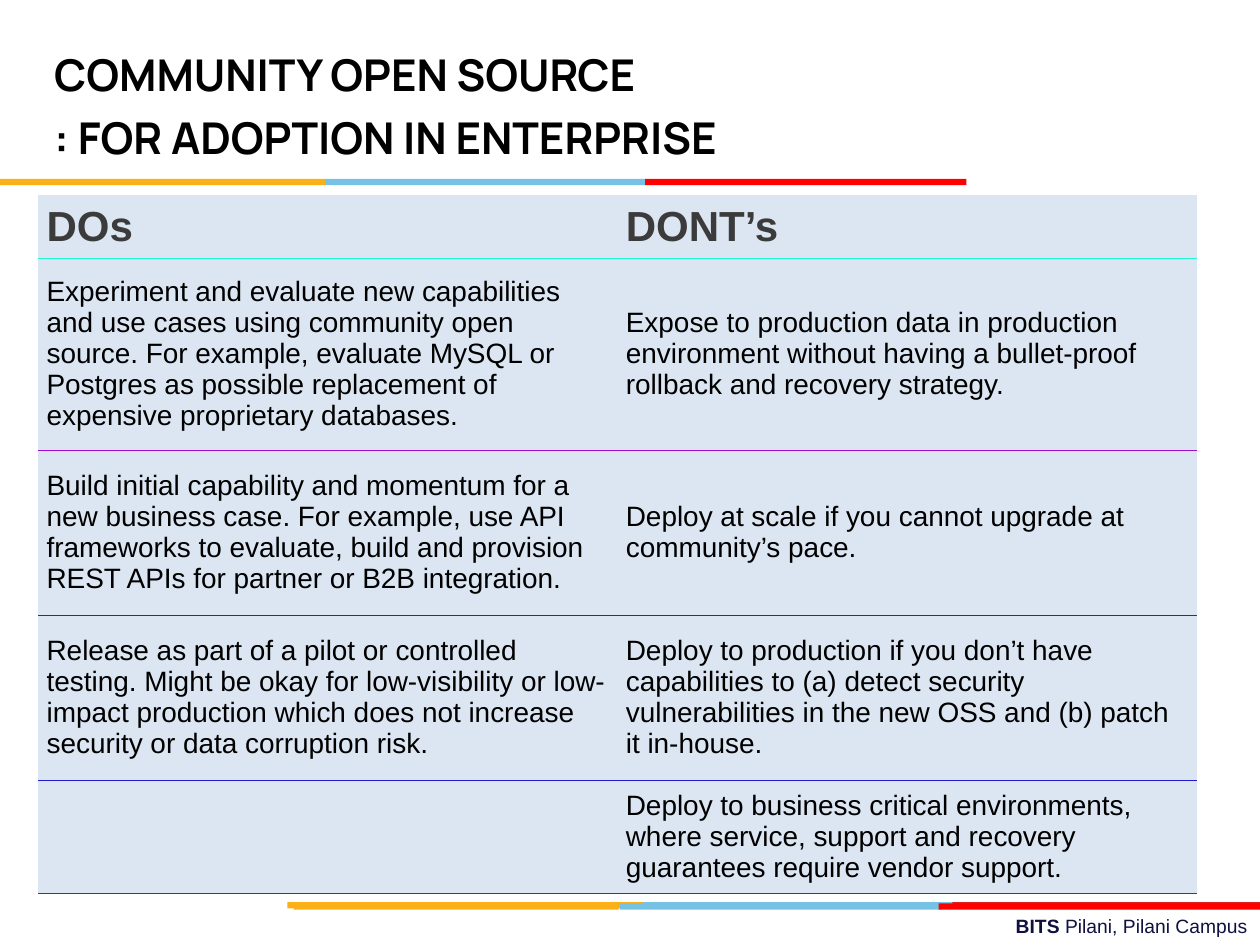
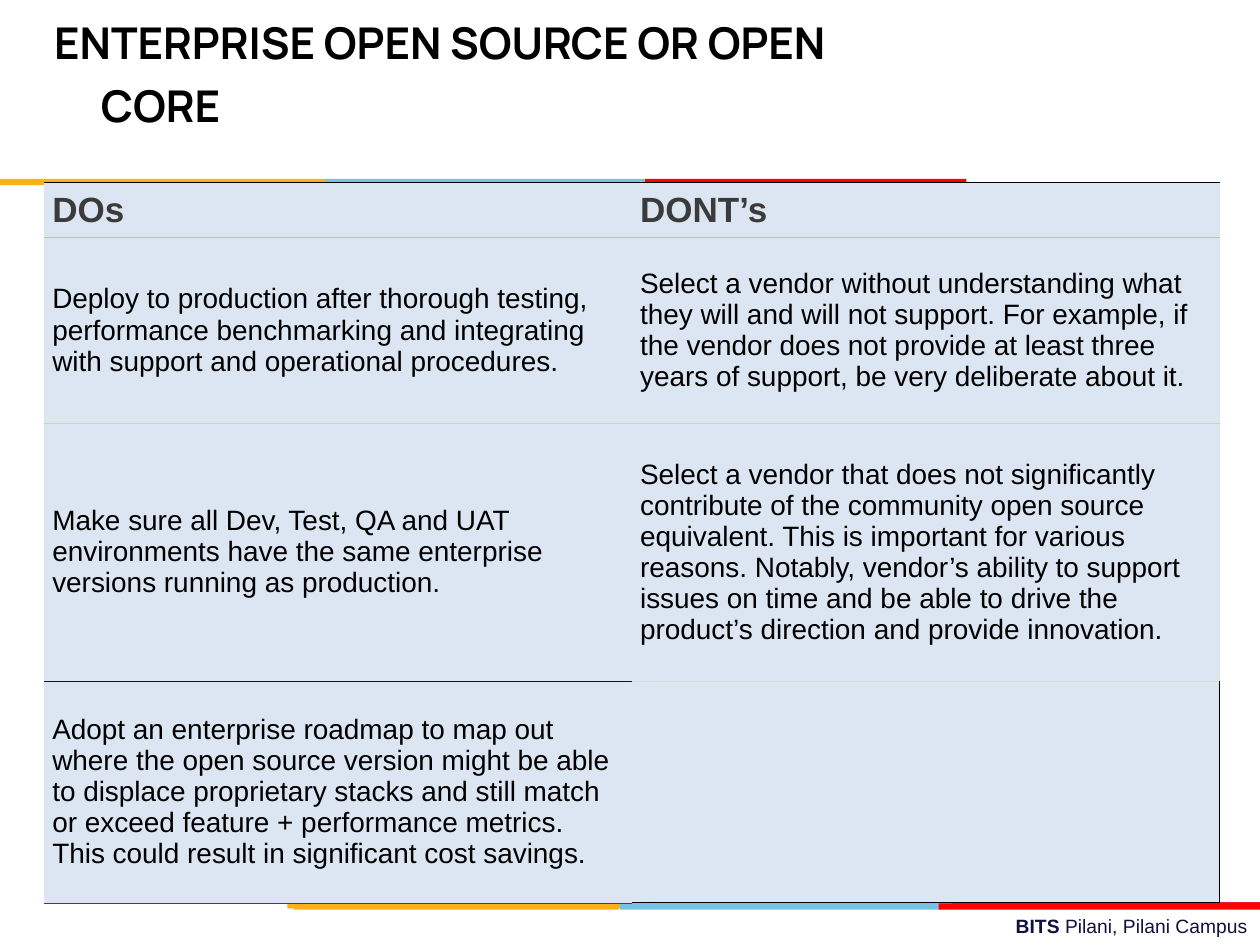
import lxml.etree
import pptx
import pptx.dml.color
import pptx.enum.shapes
import pptx.enum.text
import pptx.oxml.ns
import pptx.util

COLORS = {
    "black": "000000", "heading": "3C3B3B", "navy": "101141", "cell": "DCE6F2",
    "amber": "FCB017", "sky": "76C2E5", "red": "FF0000", "crimson": "E31C24",
    "aqua": "20F7D2", "purple": "A00CD3", "violet": "6004D3", "blue": "201BD3",
    "indigo": "6018D3", "lime": "90E37D", "green": "90FF7C", "ink": "10047D",
    "yellow": "D0F37C", "forest": "900F7D",
}
FORMATS = {
    "title": {"name": "Manrope", "size": 25, "bold": True, "color": "black"},
    "cell": {"name": "Arial", "size": 16, "bold": False, "color": "black"},
    "heading": {"name": "Arial", "size": 24, "bold": True, "color": "heading"},
    "footer": {"name": "Arial", "size": 11, "bold": False, "color": "navy"},
}
BANDS = [
    (71.6, [("sky", 50.6, 25.5), ("crimson", 75.6, 24.4), ("amber", 22.8, 28.2)]),
    (71.7, [("sky", 49.2, 25.5), ("amber", 23.3, 25.8), ("red", 74.5, 25.5)]),
    (14.2, [("sky", 25.8, 25.5), ("amber", 0, 25.8), ("red", 51.2, 25.5)]),
]
ANCHOR = pptx.enum.text.MSO_ANCHOR
ALIGN = pptx.enum.text.PP_ALIGN


class Deck:
    """Draw styled elements on a grid of 100 columns by 75 rows."""

    def __init__(self):
        self.prs = pptx.Presentation()
        self.prs.slide_width = pptx.util.Inches(10)
        self.prs.slide_height = pptx.util.Inches(7.5)
        self.s = None

    def x(self, columns):
        return round(self.prs.slide_width * columns / 100)

    def y(self, rows):
        return round(self.prs.slide_height * rows / 75)

    def box(self, left, top, width, height):
        return self.x(left), self.y(top), self.x(width), self.y(height)

    def rgb(self, color):
        return pptx.dml.color.RGBColor.from_string(COLORS[color])

    def apply(self, obj, values):
        for key, value in values.items():
            setattr(obj, key, value)

    def run(self, p, text, kind, **changes):
        values = {**FORMATS[kind], **changes}
        r = p.add_run()
        r.text = text
        r.font.color.rgb = self.rgb(values.pop("color"))
        values["size"] = pptx.util.Pt(values["size"])
        self.apply(r.font, values)

    def slide(self):
        self.s = self.prs.slides.add_slide(self.prs.slide_layouts[5])
        for top, bars in BANDS:
            for color, left, width in bars:
                self.bar(color, left, top, width)
        self.footer()

    def bar(self, color, left, top, width):
        sp = self.s.shapes.add_shape(
            pptx.enum.shapes.MSO_SHAPE.RECTANGLE, *self.box(left, top, width, 0.5))
        sp.shadow.inherit = False
        sp.fill.solid()
        sp.fill.fore_color.rgb = self.rgb(color)
        sp.line.fill.background()

    def footer(self):
        tf = self.s.shapes.add_textbox(*self.box(35.8, 72.1, 64.2, 2.9)).text_frame
        tf.word_wrap = True
        p = tf.paragraphs[0]
        p.alignment = ALIGN.RIGHT
        self.run(p, "BITS ", "footer", bold=True)
        self.run(p, "Pilani, Pilani Campus", "footer")

    def title(self, lines, width, bottom=0.5):
        sp = self.s.shapes.title
        self.apply(sp, dict(zip(("left", "top", "width", "height"),
                                self.box(3.3, 1.7, width, 12.5))))
        tf = sp.text_frame
        self.apply(tf, {"word_wrap": True, "vertical_anchor": ANCHOR.MIDDLE,
                        "auto_size": pptx.enum.text.MSO_AUTO_SIZE.NONE,
                        "margin_left": self.x(1), "margin_right": self.x(1),
                        "margin_top": self.y(0.5), "margin_bottom": self.y(bottom)})
        for i, line in enumerate(lines):
            p = tf.add_paragraph() if i else tf.paragraphs[0]
            self.apply(p, {"alignment": ALIGN.LEFT, "line_spacing": pptx.util.Pt(36),
                           "space_before": pptx.util.Pt(0)})
            pPr = p._p.get_or_add_pPr()
            pPr.set("marL", str(self.x(3.7)))
            pPr.set("indent", str(-self.x(3.7)))
            self.run(p, line, "title")

    def border(self, cell, side, color):
        qn = pptx.oxml.ns.qn
        width = pptx.util.Pt(0.45 if color == "black" else 0.23)
        ln = lxml.etree.SubElement(
            cell._tc.get_or_add_tcPr(), qn(f"a:ln{side}"), w=str(width))
        if color:
            fill = lxml.etree.SubElement(ln, qn("a:solidFill"))
            lxml.etree.SubElement(fill, qn("a:srgbClr"), val=COLORS[color])
        else:
            lxml.etree.SubElement(ln, qn("a:noFill"))

    def table(self, place, heights, rows, rules, heading, inset, edge=None):
        frame = self.s.shapes.add_table(
            len(rows), 2, *self.box(*place, sum(heights)))
        table = frame.table
        self.apply(table, {"first_row": False, "horz_banding": False})
        for i, texts in enumerate(rows):
            table.rows[i].height = self.y(heights[i])
            for j, text in enumerate(texts):
                cell = table.cell(i, j)
                sides = {"L": None, "R": "black" if (i, j) == edge else None,
                         "T": rules[i][j], "B": rules[i + 1][j]}
                for side, color in sides.items():
                    self.border(cell, side, color)
                cell.fill.solid()
                cell.fill.fore_color.rgb = self.rgb("cell")
                self.apply(cell, {"vertical_anchor": ANCHOR.MIDDLE,
                                  "margin_left": self.x(inset),
                                  "margin_right": self.x(inset),
                                  "margin_top": self.y(0.5),
                                  "margin_bottom": self.y(0.5)})
                if text:
                    changes = {} if i else {"size": heading}
                    self.run(cell.text_frame.paragraphs[0], text,
                             "cell" if i else "heading", **changes)


def main():
    deck = Deck()
    headings = ("DOs", "DONT’s")

    deck.slide()
    deck.title(["COMMUNITY OPEN SOURCE", ": FOR ADOPTION IN ENTERPRISE"], 76.7)
    deck.table(
        (3.05, 15.5, 91.95), [5, 15.2, 13.1, 13.1, 9], [
            headings,
            ("Experiment and evaluate new capabilities and use cases using community "
             "open source. For example, evaluate MySQL or Postgres as possible "
             "replacement of expensive proprietary databases.",
             "Expose to production data in production environment without having a "
             "bullet-proof rollback and recovery strategy."),
            ("Build initial capability and momentum for a new business case. For "
             "example, use API frameworks to evaluate, build and provision REST APIs "
             "for partner or B2B integration.",
             "Deploy at scale if you cannot upgrade at community’s pace."),
            ("Release as part of a pilot or controlled testing. Might be okay for "
             "low-visibility or low-impact production which does not increase "
             "security or data corruption risk.",
             "Deploy to production if you don’t have capabilities to (a) detect "
             "security vulnerabilities in the new OSS and (b) patch it in-house."),
            ("",
             "Deploy to business critical environments, where service, support and "
             "recovery guarantees require vendor support."),
        ],
        [(c, c) for c in (None, "aqua", "purple", "violet", "blue", "indigo")],
        heading=24, inset=0.65)

    deck.slide()
    deck.title(["ENTERPRISE OPEN SOURCE OR OPEN CORE"], 69.2, bottom=5.5)
    deck.table(
        (3.5, 14.5, 93.3), [4.35, 14.75, 20.45, 17.6], [
            headings,
            ("Deploy to production after thorough testing, performance benchmarking "
             "and integrating with support and operational procedures.",
             "Select a vendor without understanding what they will and will not "
             "support. For example, if the vendor does not provide at least three "
             "years of support, be very deliberate about it."),
            ("Make sure all Dev, Test, QA and UAT environments have the same "
             "enterprise versions running as production.",
             "Select a vendor that does not significantly contribute of the community "
             "open source equivalent. This is important for various reasons. Notably, "
             "vendor’s ability to support issues on time and be able to drive the "
             "product’s direction and provide innovation."),
            ("Adopt an enterprise roadmap to map out where the open source version "
             "might be able to displace proprietary stacks and still match or exceed "
             "feature + performance metrics. This could result in significant cost "
             "savings.", ""),
        ],
        [("black", "black"), ("lime", "lime"), ("green", "green"),
         ("ink", "yellow"), ("forest", "black")],
        heading=20, inset=0.65, edge=(3, 1))

    deck.prs.save("out.pptx")


if __name__ == "__main__":
    main()
